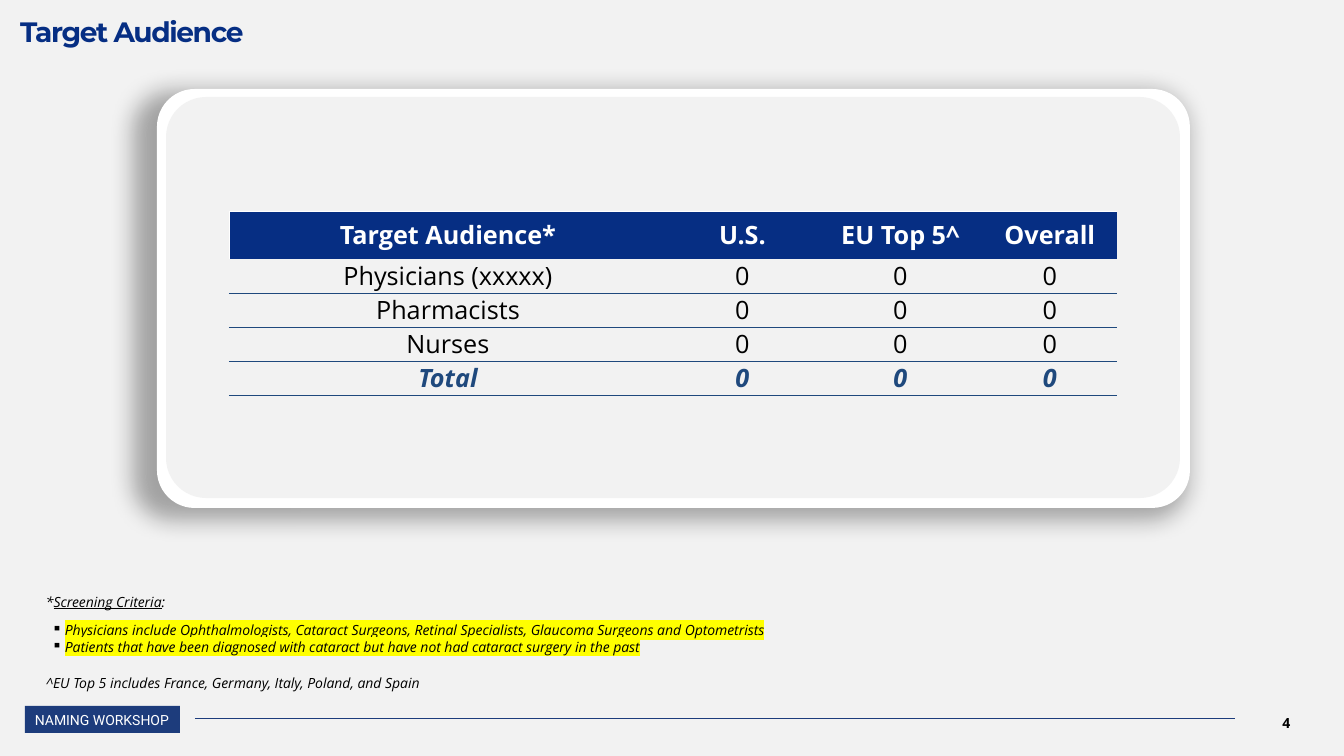
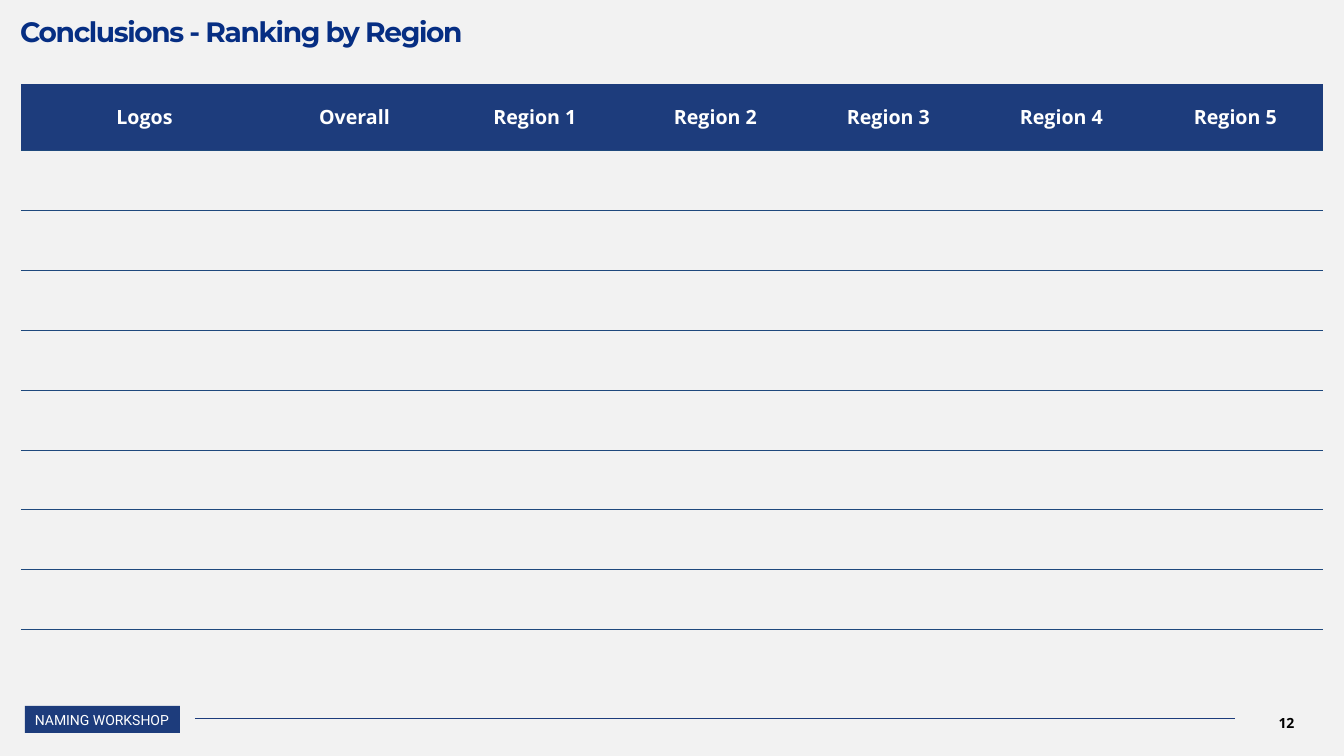
import dataclasses

import lxml.etree
import pptx
import pptx.dml.color
import pptx.enum.shapes
import pptx.enum.text
import pptx.oxml.ns
import pptx.util

PX = 914400 / 100.8
ALIGN = pptx.enum.text.PP_ALIGN
ANCHOR = pptx.enum.text.MSO_ANCHOR
SHAPE = pptx.enum.shapes.MSO_SHAPE
SUB = lxml.etree.SubElement
rgb = pptx.dml.color.RGBColor.from_string
qn = pptx.oxml.ns.qn
Pt = pptx.util.Pt


@dataclasses.dataclass(frozen=True)
class Theme:
    paper: str = "F2F2F2"
    white: str = "FFFFFF"
    black: str = "000000"
    navy: str = "062E83"
    band: str = "1D3C7C"
    rule: str = "1F497D"
    marker: str = "FFFF00"
    heading: str = "Montserrat"
    body: str = "Open Sans"
    badge: str = "Roboto"
    title_size: int = 20
    table_size: int = 18
    header_size: int = 14
    small_size: int = 10


T = Theme()


def px(*lengths):
    return [round(n * PX) for n in lengths]


def add_grid(s, left, top, widths, heights, rows, size, header_fill, header_edges):
    """Table with a filled header and a thin rule under every other row."""
    box = px(left, top, sum(widths), sum(heights))
    table = s.shapes.add_table(len(heights), len(widths), *box).table
    table.first_row = table.horz_banding = False
    style = table._tbl.tblPr.find(qn("a:tableStyleId"))
    style.text = "{2D5ABB26-0587-4C30-8999-92F81FD0307C}"  # no style, no grid
    for column, width in zip(table.columns, px(*widths)):
        column.width = width
    for i, (row, height) in enumerate(zip(table.rows, px(*heights))):
        row.height = height
        for j, cell in enumerate(row.cells):
            edges = header_edges if i == 0 else {"B": T.rule}
            for side, color in edges.items():
                if side == "L" and j:
                    continue
                ln = SUB(cell._tc.get_or_add_tcPr(), qn(f"a:ln{side}"), w="6350")
                SUB(SUB(ln, qn("a:solidFill")), qn("a:srgbClr"), val=color)
            cell.fill.solid()
            cell.fill.fore_color.rgb = rgb(header_fill if i == 0 else T.paper)
            cell.vertical_anchor = ANCHOR.MIDDLE
            cell.margin_left = cell.margin_right = 0
            cell.margin_top = cell.margin_bottom = 0
            if i >= len(rows):
                continue
            total = rows[i][0] == "Total"
            p = cell.text_frame.paragraphs[0]
            p.text = rows[i][j]
            p.alignment = ALIGN.CENTER
            p.font.name, p.font.size = T.body, Pt(size)
            p.font.bold, p.font.italic = i == 0 or total, total
            p.font.color.rgb = rgb(T.white if i == 0 else T.rule if total else T.black)


prs = pptx.Presentation()
prs.slide_width, prs.slide_height = px(1344, 756)
bg = prs.slide_master.background.fill
bg.solid()
bg.fore_color.rgb = rgb(T.paper)

# Shared frame: title, badge, footer line and page number
slides = []
for title, number in [("Target Audience", "4"), ("Conclusions - Ranking by Region", "12")]:
    s = prs.slides.add_slide(prs.slide_layouts[5])
    slides.append(s)

    sp = s.shapes.title
    sp.left, sp.top, sp.width, sp.height = px(20, 0, 1292, 48)
    tf = sp.text_frame
    tf.auto_size = pptx.enum.text.MSO_AUTO_SIZE.NONE
    tf.vertical_anchor = ANCHOR.TOP
    tf.margin_left = tf.margin_right = tf.margin_bottom = 0
    tf.margin_top = px(21)[0]
    p = tf.paragraphs[0]
    p.alignment, p.line_spacing = ALIGN.LEFT, 0.8
    r = p.add_run()
    r.text = title
    r._r.get_or_add_rPr().set("spc", "-100")
    p.font.name, p.font.size, p.font.bold = T.heading, Pt(T.title_size), True
    p.font.color.rgb = rgb(T.navy)

    sp = s.shapes.add_shape(SHAPE.RECTANGLE, *px(25, 706, 155, 27))
    sp.shadow.inherit = False
    sp.fill.solid()
    sp.fill.fore_color.rgb = rgb(T.band)
    sp.line.fill.background()
    sp.text_frame.word_wrap = False
    p = sp.text_frame.paragraphs[0]
    p.text, p.alignment = "NAMING WORKSHOP", ALIGN.LEFT
    p.font.name, p.font.size = T.badge, Pt(T.small_size)
    p.font.color.rgb = rgb(T.white)

    line = s.shapes.add_connector(
        pptx.enum.shapes.MSO_CONNECTOR.STRAIGHT, *px(195, 718, 1235, 718))
    line.line.color.rgb, line.line.width = rgb(T.band), Pt(0.5)
    SUB(line._element.spPr, qn("a:effectLst"))

    tf = s.shapes.add_textbox(*px(1231, 703, 111, 40)).text_frame
    tf.word_wrap, tf.vertical_anchor = True, ANCHOR.MIDDLE
    p = tf.paragraphs[0]
    p.text, p.alignment = number, ALIGN.CENTER
    p.font.name, p.font.size, p.font.bold = T.body, Pt(T.small_size), True
    p.font.color.rgb = rgb(T.black)

audience, ranking = slides

# Target audience: card with a soft shadow to the lower left
for box, radius, color in [
    ((157, 89, 1033, 419), 0.09, T.white),
    ((166, 97, 1014, 401), 0.1, T.paper),
]:
    sp = audience.shapes.add_shape(SHAPE.ROUNDED_RECTANGLE, *px(*box))
    sp.adjustments[0] = radius
    sp.shadow.inherit = False
    sp.fill.solid()
    sp.fill.fore_color.rgb = rgb(color)
    sp.line.fill.background()
    if color == T.white:
        shadow = SUB(
            sp._element.spPr.find(qn("a:effectLst")), qn("a:outerShdw"),
            blurRad=str(Pt(17.2)), dist=str(Pt(3)), dir="8100000",
            sx="102000", sy="102000", algn="tr", rotWithShape="0")
        SUB(SUB(shadow, qn("a:srgbClr"), val=T.black), qn("a:alpha"), val="33000")

# Target audience: table
groups = ["Physicians (xxxxx)", "Pharmacists", "Nurses", "Total"]
add_grid(
    audience, 229, 211, [438, 151, 165, 134], [48] + [34] * 4,
    [["Target Audience*", "U.S.", "EU Top 5^", "Overall"]]
    + [[group, "0", "0", "0"] for group in groups],
    T.table_size, T.navy, {"L": T.white, "T": T.white})

# Target audience: screening notes
tf = audience.shapes.add_textbox(*px(36, 590, 1265, 105)).text_frame
tf.word_wrap, tf.vertical_anchor = True, ANCHOR.MIDDLE
notes = [
    (["*", "Screening Criteria", ":"], False, 0),
    (["Physicians include Ophthalmologists, Cataract Surgeons, Retinal Specialists, "
      "Glaucoma Surgeons and Optometrists"], True, 8),
    (["Patients that have been diagnosed with cataract but have not had cataract "
      "surgery in the past"], True, 0),
    (["^EU Top 5 includes France, Germany, Italy, Poland, and Spain"], False, 14),
]
for i, (texts, bulleted, gap) in enumerate(notes):
    p = tf.add_paragraph() if i else tf.paragraphs[0]
    if gap:
        p.space_before = Pt(gap)
    if bulleted:
        pPr = p._p.get_or_add_pPr()
        margin, indent = px(19, -13)
        pPr.set("marL", str(margin))
        pPr.set("indent", str(indent))
        SUB(pPr, qn("a:buChar"), char="▪")
    for text in texts:
        r = p.add_run()
        r.text = text
        if text == "Screening Criteria":
            r.font.underline = True
        if bulleted:
            highlight = SUB(r._r.get_or_add_rPr(), qn("a:highlight"))
            SUB(highlight, qn("a:srgbClr"), val=T.marker)
    p.font.name, p.font.size, p.font.italic = T.body, Pt(T.small_size), True
    p.font.color.rgb = rgb(T.black)

# Ranking by region: header with eight empty rows
add_grid(
    ranking, 21, 84, [247, 173, 188] + [173] * 3 + [175], [66] + [60] * 8,
    [["Logos", "Overall"] + [f"Region {n}" for n in range(1, 6)]],
    T.header_size, T.band, {"B": T.rule})

prs.save("out.pptx")
